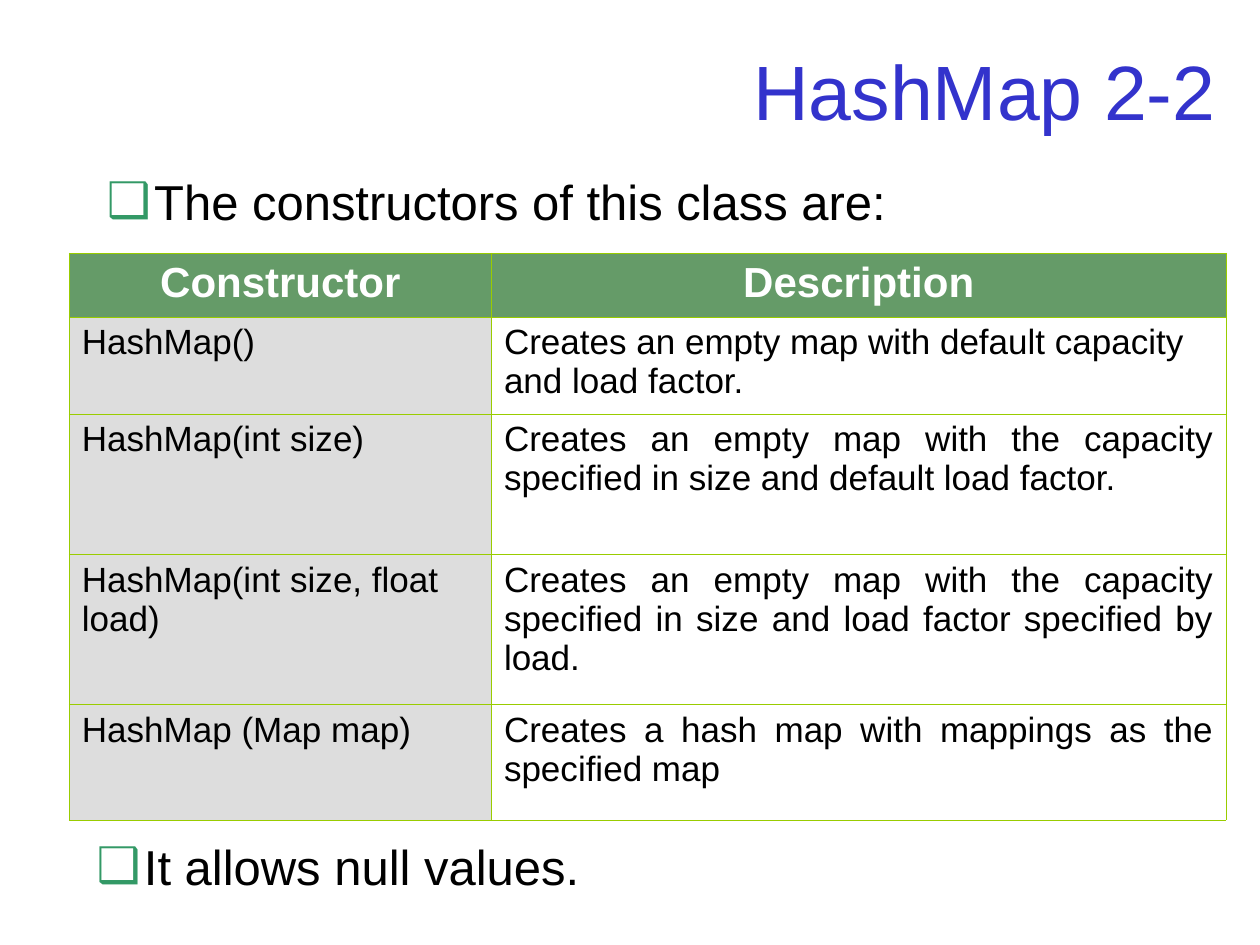
from dataclasses import dataclass

from lxml import etree
from pptx import Presentation
from pptx.dml.color import RGBColor
from pptx.enum.text import MSO_ANCHOR, PP_ALIGN
from pptx.oxml.ns import qn
from pptx.util import Pt

LEFT, MID, RIGHT, FULL = (PP_ALIGN.LEFT, PP_ALIGN.CENTER,
                          PP_ALIGN.RIGHT, PP_ALIGN.JUSTIFY)
FONT = "Arial"
BLACK, WHITE, BLUE = "000000", "FFFFFF", "3333CC"
GREEN, LIME, GRAY, MARK = "659B68", "99CC00", "DDDDDD", "339966"


@dataclass
class Bullet:
    text: str
    left: float
    top: float
    width: float
    height: float


@dataclass
class Row:
    name: str
    note: str
    height: float
    align: PP_ALIGN = FULL


BULLETS = [
    Bullet("The constructors of this class are:", 54, 94.3, 641, 45.4),
    Bullet("It allows null values.", 48.2, 474.5, 648, 45.4),
]
COLS = [241.2, 419.8]
ROWS = [
    Row("Constructor", "Description", 36.4, MID),
    Row("HashMap()", "Creates an empty map with default capacity "
        "and load factor.", 55.4, LEFT),
    Row("HashMap(int size)", "Creates an empty map with the capacity "
        "specified in size and default load factor.", 80.4),
    Row("HashMap(int size, float load)", "Creates an empty map with the "
        "capacity specified in size and load factor specified by load.", 85.6),
    Row("HashMap (Map map)", "Creates a hash map with mappings as the "
        "specified map", 66.2),
]


def color(code: str) -> RGBColor:
    return RGBColor.from_string(code)


def style(para, size: float, code: str, align=LEFT, bold=False) -> None:
    para.alignment = align
    para.space_before = Pt(0)
    font = para.font
    font.name, font.size, font.bold = FONT, Pt(size), bold
    font.color.rgb = color(code)


def add_bullet(slide, item: Bullet) -> None:
    box = slide.shapes.add_textbox(Pt(item.left), Pt(item.top),
                                   Pt(item.width), Pt(item.height))
    frame = box.text_frame
    frame.word_wrap = True
    para = frame.paragraphs[0]
    para.text = item.text
    props = para._p.get_or_add_pPr()
    props.set("marL", str(Pt(27)))
    props.set("indent", str(Pt(-27)))
    tint = etree.SubElement(props, qn("a:buClr"))
    etree.SubElement(tint, qn("a:srgbClr"), val=MARK)
    etree.SubElement(props, qn("a:buFont"), typeface=FONT)
    etree.SubElement(props, qn("a:buChar"), char="❑")
    style(para, 28, BLACK)


def add_lines(cell) -> None:
    props = cell._tc.get_or_add_tcPr()
    for side in ("lnL", "lnR", "lnT", "lnB"):
        line = etree.SubElement(props, qn("a:" + side), w=str(Pt(0.45)))
        fill = etree.SubElement(line, qn("a:solidFill"))
        etree.SubElement(fill, qn("a:srgbClr"), val=LIME)


def set_cell(cell, text: str, align: PP_ALIGN, fill: str | None,
             head: bool) -> None:
    add_lines(cell)
    if fill:
        cell.fill.solid()
        cell.fill.fore_color.rgb = color(fill)
    else:
        cell.fill.background()
    cell.text = text
    style(cell.text_frame.paragraphs[0], 24 if head else 20,
          WHITE if head else BLACK, align, head)


def add_grid(slide) -> None:
    shape = slide.shapes.add_table(len(ROWS), len(COLS), Pt(39.6), Pt(144.7),
                                   Pt(sum(COLS)),
                                   Pt(sum(row.height for row in ROWS)))
    table = shape.table
    table.horz_banding = False
    for col, width in zip(table.columns, COLS):
        col.width = Pt(width)
    for i, row in enumerate(ROWS):
        head = i == 0
        table.rows[i].height = Pt(row.height)
        set_cell(table.cell(i, 0), row.name, MID if head else LEFT,
                 GREEN if head else GRAY, head)
        set_cell(table.cell(i, 1), row.note, row.align,
                 GREEN if head else None, head)


def add_title(slide, text: str) -> None:
    title = slide.shapes.title
    title.left, title.top = Pt(54), Pt(20.2)
    title.width, title.height = Pt(648), Pt(62.6)
    title.text_frame.vertical_anchor = MSO_ANCHOR.MIDDLE
    title.text_frame.text = text
    style(title.text_frame.paragraphs[0], 44, BLUE, RIGHT)


def main() -> None:
    deck = Presentation()
    deck.slide_width, deck.slide_height = Pt(720), Pt(540)
    slide = deck.slides.add_slide(deck.slide_layouts[5])

    # Title and bullets
    add_title(slide, "HashMap 2-2")
    for item in BULLETS:
        add_bullet(slide, item)

    # Constructor table
    add_grid(slide)
    deck.save("out.pptx")


if __name__ == "__main__":
    main()
